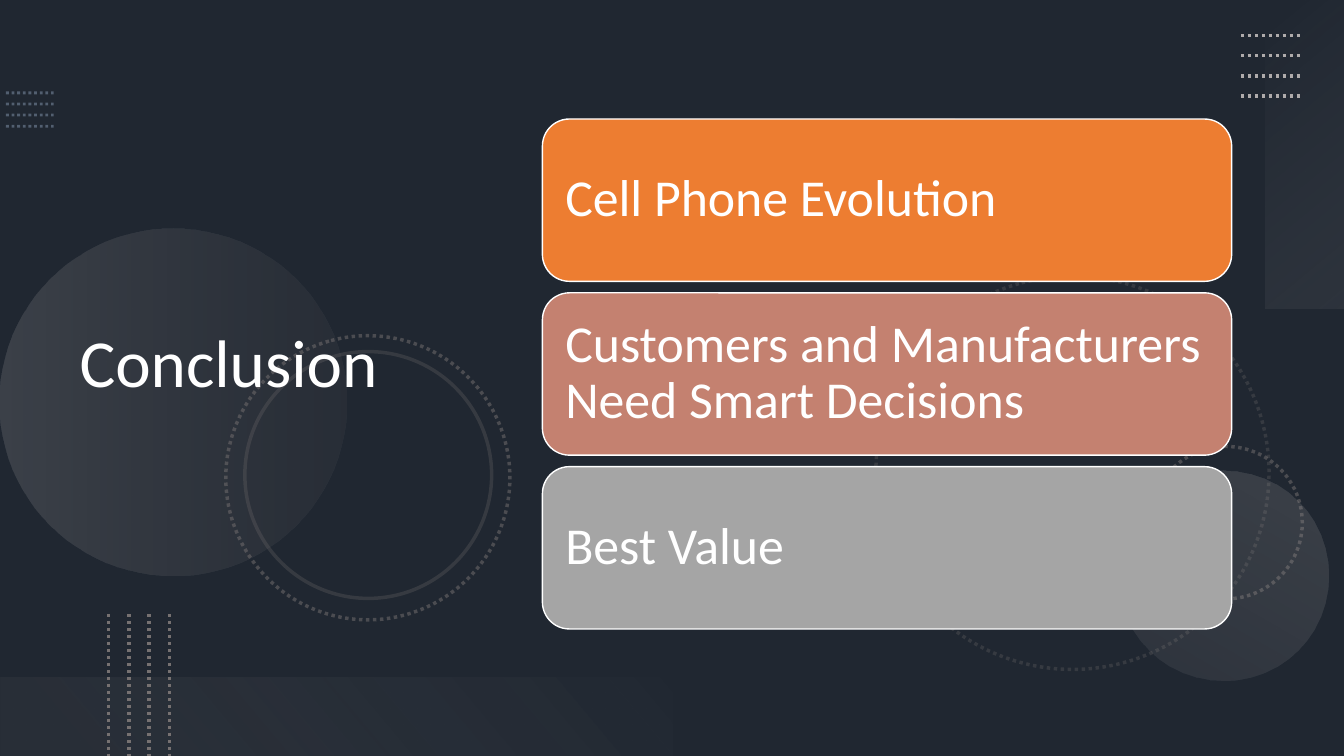
"""Build the dark conclusion slide with three rounded cards."""
from lxml.etree import SubElement
from pptx import Presentation
from pptx.dml.color import RGBColor as Rgb
from pptx.enum.dml import MSO_LINE as Dash
from pptx.enum.shapes import MSO_CONNECTOR as Link, MSO_SHAPE as Kind
from pptx.enum.text import MSO_ANCHOR as Anchor, PP_ALIGN as Align
from pptx.oxml.ns import qn
from pptx.util import Cm, Pt

WHITE = Rgb(0xFF, 0xFF, 0xFF)
BLACK = Rgb(0, 0, 0)
SLATE = Rgb(0x44, 0x54, 0x6A)
BLUE = Rgb(0x84, 0x97, 0xB0)
GREY = Rgb(0x76, 0x71, 0x71)
SILVER = Rgb(0xAF, 0xAB, 0xAB)
PALE = Rgb(0xF5, 0xF5, 0xF5)
CREAM = Rgb(0xF1, 0xF0, 0xF0)
ORANGE = Rgb(0xED, 0x7D, 0x31)
ROSE = Rgb(0xC4, 0x81, 0x70)
STONE = Rgb(0xA5, 0xA5, 0xA5)
FONT = "Calibri"
WIDE, HIGH = 33.87, 19.05


def fade(shape, *levels):
    for color, level in zip(shape._element.spPr.iter(qn("a:srgbClr")), levels):
        SubElement(color, qn("a:alpha"), val=str(level * 1000))


def add_form(slide, kind, box, turn=0):
    shape = slide.shapes.add_shape(kind, *map(Cm, box))
    shape.shadow.inherit = False
    shape.rotation = turn
    return shape


def add_veil(slide):
    veil = add_form(slide, Kind.RECTANGLE, (0, 0, WIDE, HIGH))
    veil.fill.solid()
    veil.fill.fore_color.rgb = BLACK
    veil.line.fill.background()
    fade(veil, 53)


def add_glow(slide, kind, box, turn, angle, stops):
    glow = add_form(slide, kind, box, turn)
    glow.line.fill.background()
    glow.fill.gradient()
    glow.fill.gradient_angle = 360 - angle
    for stop, (place, color, _) in zip(glow.fill.gradient_stops, stops):
        stop.position = place
        stop.color.rgb = color
    fade(glow, *(level for _, _, level in stops))


def add_ring(slide, left, top, size, level, turn=75, dash=Dash.ROUND_DOT):
    ring = add_form(slide, Kind.OVAL, (left, top, size, size), turn)
    ring.fill.background()
    ring.line.color.rgb = GREY
    ring.line.width = Pt(2.5)
    ring.line.dash_style = dash
    fade(ring, level)


def add_dots(slide, start, end, step, color, width=2.5, level=100):
    for i in range(4):
        shift = [i * gap for gap in step]
        ends = [Cm(a + b) for a, b in zip(start + end, shift * 2)]
        row = slide.shapes.add_connector(Link.STRAIGHT, *ends)
        row.line.color.rgb = color
        row.line.width = Pt(width)
        row.line.dash_style = Dash.ROUND_DOT
        fade(row, level)
        SubElement(row._element.spPr, qn("a:effectLst"))


def add_text(frame, text, size):
    frame.word_wrap = True
    frame.vertical_anchor = Anchor.MIDDLE
    para = frame.paragraphs[0]
    para.alignment = Align.LEFT
    para.line_spacing = 0.9
    run = para.add_run()
    run.text = text
    run.font.name = FONT
    run.font.size = Pt(size)
    run.font.color.rgb = WHITE


def set_title(slide, text):
    title = slide.shapes.title
    title.left, title.top = Cm(1.75), Cm(1.37)
    title.width, title.height = Cm(11.66), Cm(15.67)
    add_text(title.text_frame, text, 48)
    slide.shapes._spTree.append(title._element)


def add_card(slide, top, text, color):
    card = add_form(slide, Kind.ROUNDED_RECTANGLE, (13.67, top, 17.37, 4.09))
    card.fill.solid()
    card.fill.fore_color.rgb = color
    card.line.color.rgb = WHITE
    card.line.width = Pt(1)
    frame = card.text_frame
    frame.margin_left = frame.margin_right = Cm(0.38)
    frame.margin_top = frame.margin_bottom = Cm(0.38)
    add_text(frame, text, 37)


def add_decor(slide):
    add_dots(slide, (0.15, 2.34), (1.35, 2.34), (0, 0.28), BLUE, 2, 50)
    add_ring(slide, 22.07, 6.96, 9.91, 25)
    add_ring(slide, 28.98, 11.25, 3.84, 50, 270)
    add_glow(slide, Kind.OVAL, (0, 5.77, 8.74, 8.74), 270, 90,
             [(0, SILVER, 20), (1, GREY, 10)])
    add_glow(slide, Kind.OVAL, (28.19, 11.86, 5.28, 5.28), 210, 90,
             [(0, SILVER, 10), (1, SILVER, 20)])
    add_ring(slide, 5.69, 8.46, 7.16, 50)
    add_ring(slide, 6.17, 8.86, 6.22, 25, dash=Dash.SOLID)
    add_glow(slide, Kind.RECTANGLE, (29.01, 2.9, 7.77, 1.98), 270, 140,
             [(0, PALE, 0), (1, SILVER, 10)])
    add_dots(slide, (31.27, 0.89), (32.79, 0.89), (0, 0.51), SILVER)
    add_glow(slide, Kind.RECTANGLE, (0, 17.07, 16.94, 1.98), 180, 140,
             [(0.1, GREY, 10), (1, CREAM, 0)])
    add_dots(slide, (2.74, 15.47), (2.74, HIGH), (0.51, 0), GREY)


def main():
    deck = Presentation()
    deck.slide_width, deck.slide_height = Cm(WIDE), Cm(HIGH)
    slide = deck.slides.add_slide(deck.slide_layouts[5])
    slide.background.fill.solid()
    slide.background.fill.fore_color.rgb = SLATE
    add_veil(slide)
    add_decor(slide)
    set_title(slide, "Conclusion")
    cards = [
        ("Cell Phone Evolution", ORANGE),
        ("Customers and Manufacturers Need Smart Decisions", ROSE),
        ("Best Value", STONE),
    ]
    for i, (text, color) in enumerate(cards):
        add_card(slide, 3 + i * 4.38, text, color)
    deck.save("out.pptx")


if __name__ == "__main__":
    main()
